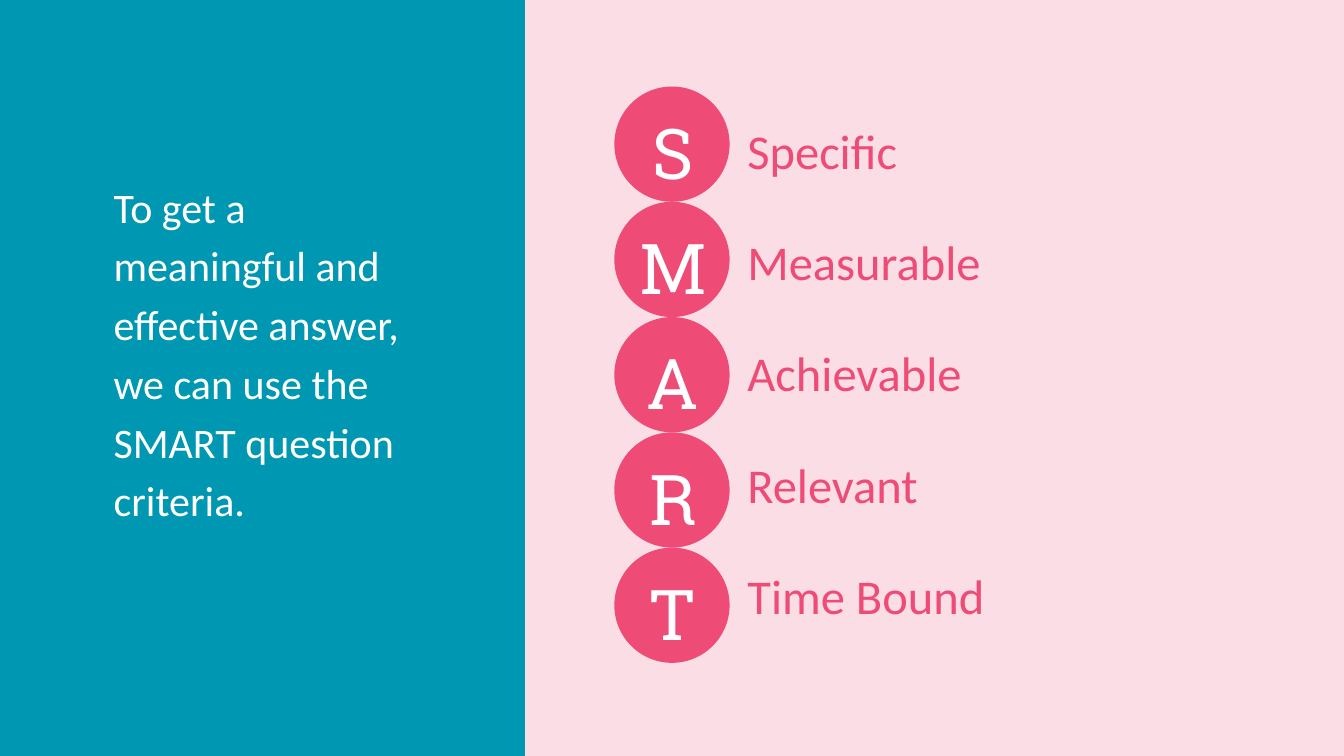
"""Build the SMART question criteria slide."""
from pptx import Presentation
from pptx.dml.color import RGBColor
from pptx.enum.shapes import MSO_SHAPE
from pptx.enum.text import PP_ALIGN
from pptx.util import Pt

RECTANGLE, OVAL = MSO_SHAPE.RECTANGLE, MSO_SHAPE.OVAL
LEFT, CENTER = PP_ALIGN.LEFT, PP_ALIGN.CENTER
TEAL, PINK, ROSE, WHITE = "0097B2", "FADDE5", "EF4B77", "FFFFFF"
BODY_FONT, LETTER_FONT = "Calibri", "Roboto Slab"
CRITERIA = ["Specific", "Measurable", "Achievable", "Relevant", "Time Bound"]
INTRO = ("To get a meaningful and effective answer, "
         "we can use the SMART question criteria.")
CIRCLE_SIZE, CIRCLE_TOP = 123.5, 92.7
LETTER_TOP, LABEL_TOP, LABEL_PITCH = 102.1, 118.8, 119.34


def color(code):
    return RGBColor.from_string(code)


class SlideBuilder:
    def __init__(self, slide):
        self.slide = slide

    def background(self, fill):
        self.slide.background.fill.solid()
        self.slide.background.fill.fore_color.rgb = color(fill)

    def shape(self, kind, left, top, width, height, fill):
        shape = self.slide.shapes.add_shape(
            kind, Pt(left), Pt(top), Pt(width), Pt(height))
        shape.shadow.inherit = False
        shape.fill.solid()
        shape.fill.fore_color.rgb = color(fill)
        shape.line.fill.background()

    def text(self, text, left, top, width, height, size, fill,
             font=BODY_FONT, align=LEFT):
        box = self.slide.shapes.add_textbox(
            Pt(left), Pt(top), Pt(width), Pt(height))
        frame = box.text_frame
        frame.word_wrap = True
        frame.margin_left = frame.margin_right = 0
        frame.margin_top = frame.margin_bottom = 0
        paragraph = frame.paragraphs[0]
        paragraph.text = text
        paragraph.alignment = align
        paragraph.line_spacing = Pt(size * 1.4)
        paragraph.font.name = font
        paragraph.font.size = Pt(size)
        paragraph.font.color.rgb = color(fill)


def main():
    presentation = Presentation()
    presentation.slide_width, presentation.slide_height = Pt(1440), Pt(810)
    slide = presentation.slides.add_slide(presentation.slide_layouts[6])
    builder = SlideBuilder(slide)
    builder.background(PINK)
    builder.shape(RECTANGLE, -13.5, -6.5, 576, 823, TEAL)
    builder.text(INTRO, 121.7, 185, 345.6, 371.5, 45, WHITE)

    for index, criterion in enumerate(CRITERIA):
        offset = index * CIRCLE_SIZE
        builder.shape(OVAL, 658.2, CIRCLE_TOP + offset,
                      CIRCLE_SIZE, CIRCLE_SIZE, ROSE)
        builder.text(criterion[0], 660.5, LETTER_TOP + offset, 121, 101,
                     75, WHITE, LETTER_FONT, CENTER)
        builder.text(criterion, 800.8, LABEL_TOP + index * LABEL_PITCH,
                     311, 70, 52, ROSE)

    presentation.save("out.pptx")


if __name__ == "__main__":
    main()
